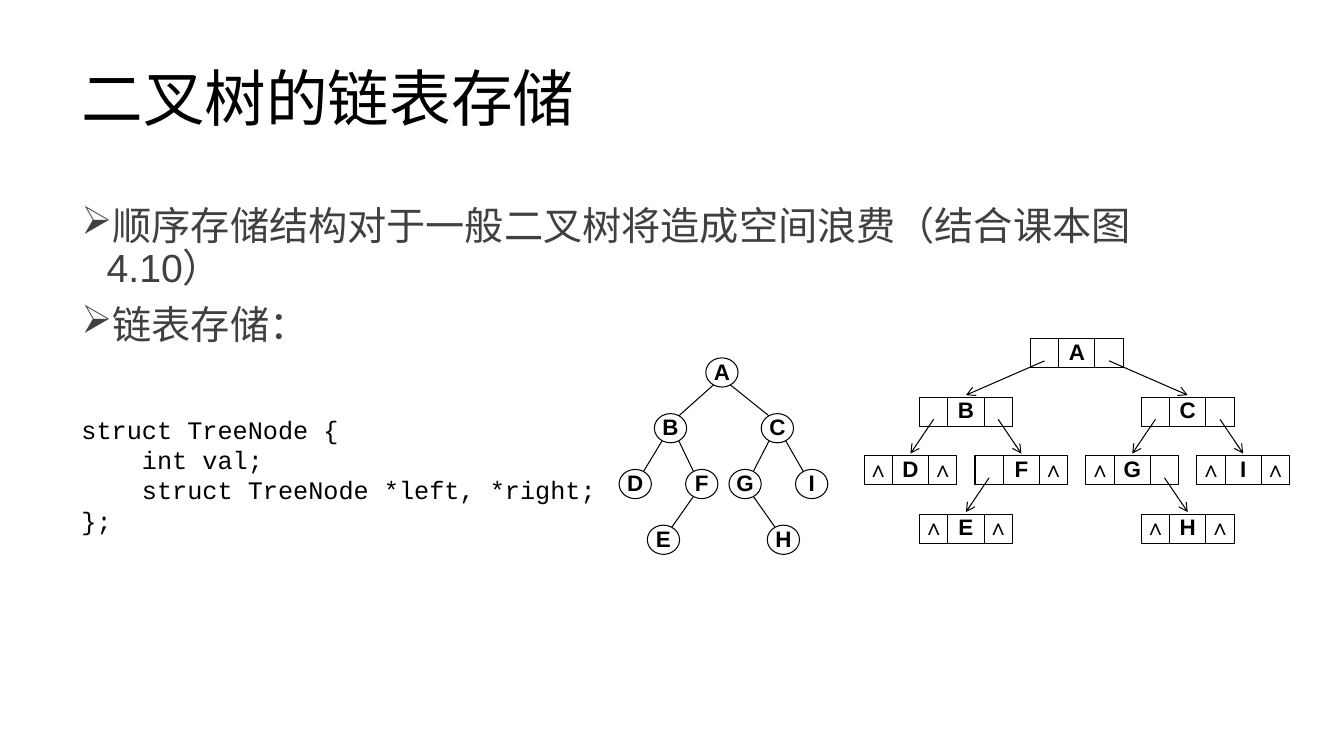
from dataclasses import dataclass
from lxml import etree
from pptx import Presentation
from pptx.dml.color import RGBColor
from pptx.enum.shapes import MSO_CONNECTOR, MSO_SHAPE
from pptx.enum.text import MSO_ANCHOR, PP_ALIGN
from pptx.oxml.ns import qn
from pptx.util import Inches, Pt

STRAIGHT = MSO_CONNECTOR.STRAIGHT
RECTANGLE, OVAL = MSO_SHAPE.RECTANGLE, MSO_SHAPE.OVAL
TOP, MIDDLE = MSO_ANCHOR.TOP, MSO_ANCHOR.MIDDLE
LEFT, CENTER = PP_ALIGN.LEFT, PP_ALIGN.CENTER


@dataclass(frozen=True)
class Theme:
    ink: RGBColor = RGBColor(0, 0, 0)
    body_ink: RGBColor = RGBColor(0x40, 0x40, 0x40)
    paper: RGBColor = RGBColor(255, 255, 255)
    sans: str = "Arial"
    mono: str = "Courier New"
    title_size: int = 44
    body_size: int = 28
    code_size: int = 18
    node_size: int = 16
    line_width: float = 0.75


THEME = Theme()
NULL = "∧"
LEVELS = {"A": 0, "B": 1, "C": 1, "D": 2, "F": 2, "G": 2, "I": 2, "E": 3, "H": 3}
CHILDREN = {
    "A": ("B", "C"),
    "B": ("D", "F"),
    "C": ("G", "I"),
    "F": ("E", None),
    "G": (None, "H"),
}


def add_run(paragraph, words, size, color, font=THEME.sans, bold=False):
    run = paragraph.add_run()
    run.text = words
    run.font.size = Pt(size)
    run.font.name = font
    run.font.bold = bold
    run.font.color.rgb = color


def add_line(slide, start, end, arrow=False):
    line = slide.shapes.add_connector(STRAIGHT, *map(Inches, (*start, *end)))
    line.line.color.rgb = THEME.ink
    line.line.width = Pt(THEME.line_width)
    if arrow:
        etree.SubElement(line.line._get_or_add_ln(), qn("a:tailEnd"), type="arrow")
    etree.SubElement(line._element.spPr, qn("a:effectLst"))


def add_node(slide, outline, box, words, align, anchor):
    node = slide.shapes.add_shape(outline, *map(Inches, box))
    node.shadow.inherit = False
    node.fill.solid()
    node.fill.fore_color.rgb = THEME.paper
    node.line.color.rgb = THEME.ink
    node.line.width = Pt(THEME.line_width)
    frame = node.text_frame
    frame.margin_left = frame.margin_right = frame.margin_bottom = 0
    frame.margin_top = Inches(0.01) if anchor == TOP else 0
    frame.word_wrap = False
    frame.vertical_anchor = anchor
    label = frame.paragraphs[0]
    label.alignment = align
    label.line_spacing = 0.96
    add_run(label, words, THEME.node_size, THEME.ink, bold=True)
    return label


def add_paragraphs(slide, box, lines, anchor=TOP, wrap=True):
    frame = slide.shapes.add_textbox(*map(Inches, box)).text_frame
    frame.word_wrap = wrap
    frame.vertical_anchor = anchor
    for index, words in enumerate(lines):
        yield words, frame.paragraphs[0] if index == 0 else frame.add_paragraph()


def add_title(slide, box, title):
    for words, paragraph in add_paragraphs(slide, box, [title], MIDDLE):
        paragraph.line_spacing = 0.9
        add_run(paragraph, words, THEME.title_size, THEME.ink)


def add_points(slide, box, points):
    for words, paragraph in add_paragraphs(slide, box, points):
        paragraph.line_spacing = 0.9
        paragraph.space_before = Pt(10)
        properties = paragraph._p.get_or_add_pPr()
        properties.set("marL", str(Inches(0.25)))
        properties.set("indent", str(Inches(-0.25)))
        etree.SubElement(properties, qn("a:buChar"), char="➢")
        add_run(paragraph, words, THEME.body_size, THEME.body_ink)


def add_code(slide, box, lines):
    for (depth, words), paragraph in add_paragraphs(slide, box, lines, wrap=False):
        paragraph._p.get_or_add_pPr().set("marL", str(Inches(0.6 * depth)))
        add_run(paragraph, words, THEME.code_size, THEME.ink, THEME.mono)


def add_binary_tree(slide, box):
    left, top, width, height = box
    node_width, node_height = 0.32, 0.29
    columns = {"A": 0.86, "B": 0.35, "C": 1.41, "D": 0, "F": 0.66,
               "G": 1.09, "I": 1.75, "E": 0.28, "H": 1.47}
    row_gap = (height - node_height) / 3
    centers = {
        name: (left + column + node_width / 2,
               top + LEVELS[name] * row_gap + node_height / 2)
        for name, column in columns.items()
    }
    for parent, children in CHILDREN.items():
        for side, child in zip((-1, 1), children):
            if child:
                (x1, y1), (x2, y2) = centers[parent], centers[child]
                add_line(slide, (x1 + side * 0.08, y1 + 0.12),
                         (x2 - side * 0.08, y2 - 0.12))
    for name, (x, y) in centers.items():
        circle = (x - node_width / 2, y - node_height / 2, node_width, node_height)
        add_node(slide, OVAL, circle, name, CENTER, MIDDLE)


def add_linked_records(slide, box):
    left, top, width, height = box
    record_width, record_height = 0.92, 0.29
    dividers, cell_centers = (0.28, 0.64), (0.14, 0.46, 0.78)
    columns = {"A": 3, "B": 1, "C": 5, "D": 0, "F": 2, "G": 4, "I": 6, "E": 1, "H": 5}
    column_gap = (width - record_width) / 6
    row_gap = (height - record_height) / 3
    corners = {
        name: (left + column * column_gap, top + LEVELS[name] * row_gap)
        for name, column in columns.items()
    }
    for name, (x, y) in corners.items():
        before, after = ("" if child else NULL
                         for child in CHILDREN.get(name, (None, None)))
        cells = f"\t{before}\t{name}\t{after}".rstrip("\t")
        label = add_node(slide, RECTANGLE, (x, y, record_width, record_height),
                         cells, LEFT, TOP)
        stops = etree.SubElement(label._p.get_or_add_pPr(), qn("a:tabLst"))
        for center in cell_centers:
            etree.SubElement(stops, qn("a:tab"), pos=str(Inches(center)), algn="ctr")
        for divider in dividers:
            add_line(slide, (x + divider, y), (x + divider, y + record_height))
    for parent, children in CHILDREN.items():
        for cell, child in zip(cell_centers[::2], children):
            if child:
                (x1, y1), (x2, y2) = corners[parent], corners[child]
                add_line(slide, (x1 + cell, y1 + 0.22),
                         (x2 + record_width / 2, y2 - 0.02), arrow=True)


def build_storage_slide(deck):
    slide = deck.slides.add_slide(deck.slide_layouts[6])
    add_title(slide, (0.71, 0.28, 11.5, 1.45), "二叉树的链表存储")
    add_points(slide, (0.71, 2, 11.5, 4.76), [
        "顺序存储结构对于一般二叉树将造成空间浪费（结合课本图4.10）",
        "链表存储：",
    ])
    add_code(slide, (0.71, 4.06, 5.3, 1.31), [
        (0, "struct TreeNode {"),
        (1, "int val;"),
        (1, "struct TreeNode *left, *right;"),
        (0, "};"),
    ])
    add_linked_records(slide, (8.57, 3.36, 4.22, 2.03))
    add_binary_tree(slide, (6.14, 3.55, 2.07, 1.95))


deck = Presentation()
deck.slide_width, deck.slide_height = Inches(13.33), Inches(7.5)
build_storage_slide(deck)
deck.save("out.pptx")
